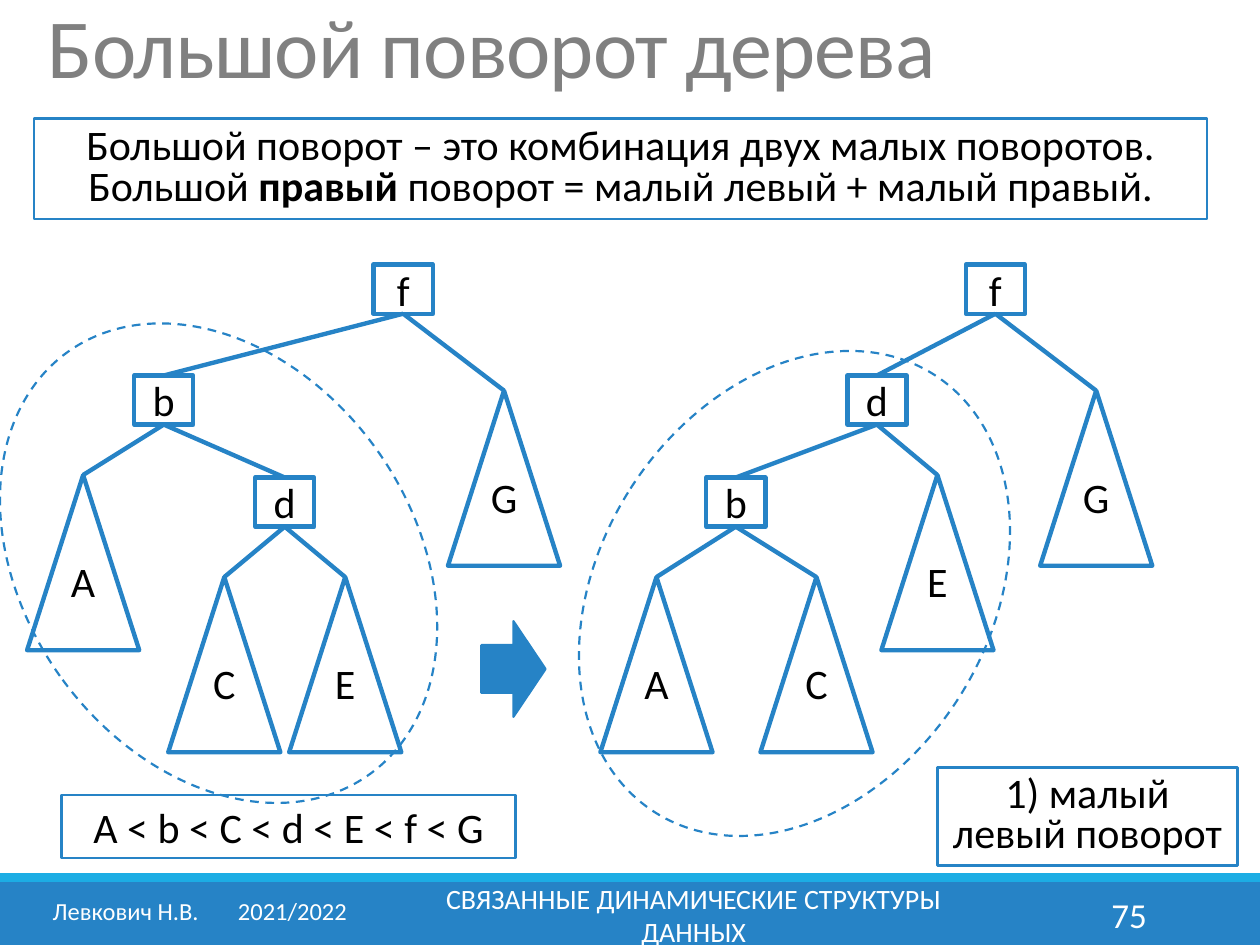
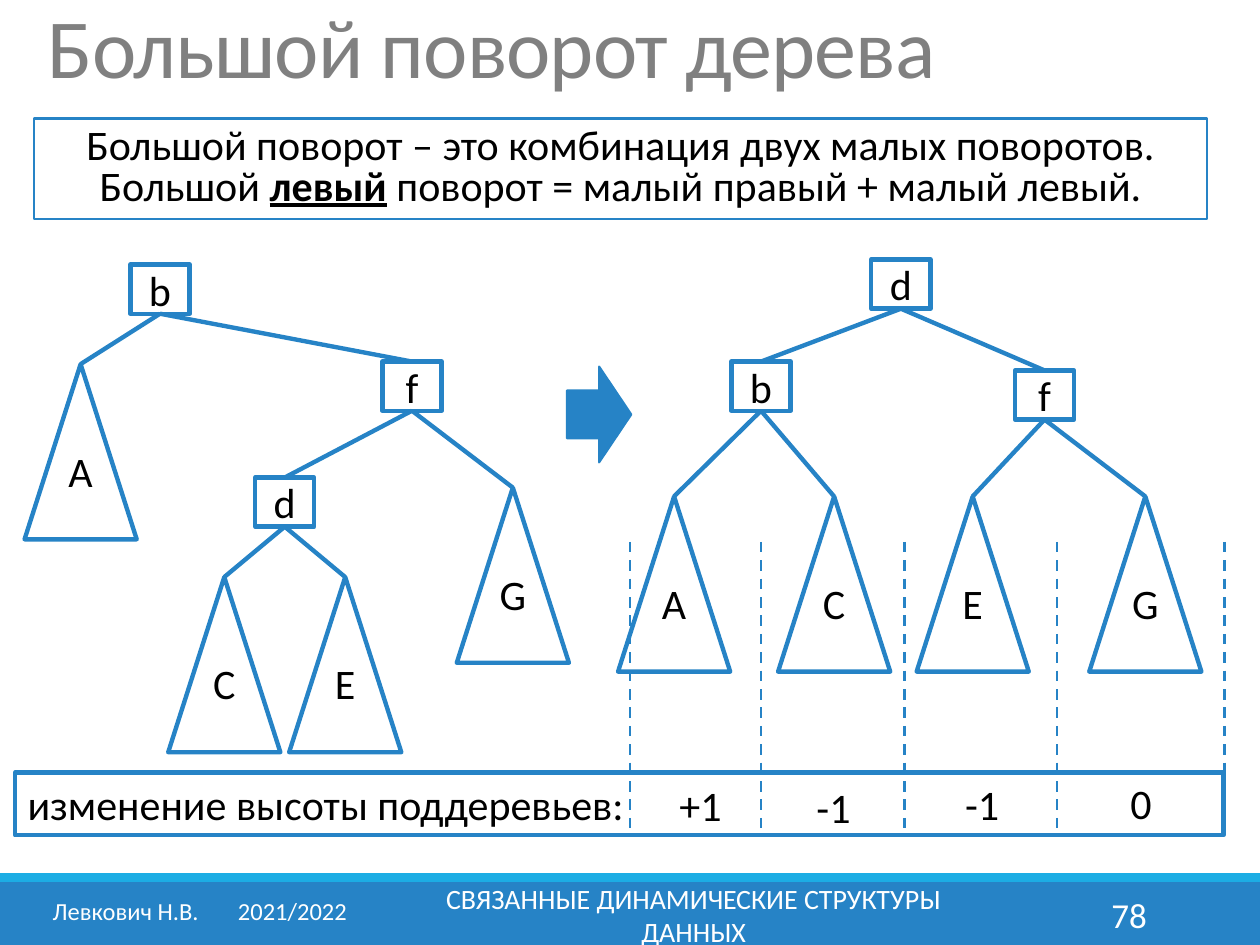
import pptx
import pptx.util
import pptx.dml.color
import pptx.enum.dml
import pptx.enum.shapes
import pptx.enum.text
import pptx.oxml.ns
from lxml import etree

Inches, Pt = pptx.util.Inches, pptx.util.Pt
rgb = pptx.dml.color.RGBColor.from_string
qn = pptx.oxml.ns.qn
SHAPE = pptx.enum.shapes.MSO_SHAPE
ANCHOR = pptx.enum.text.MSO_ANCHOR
ALIGN = pptx.enum.text.PP_ALIGN
DASH = pptx.enum.dml.MSO_LINE.DASH

BLUE, CYAN, GREY, WHITE, BLACK = "2683C6", "1CADE4", "808080", "FFFFFF", "000000"
FONT = "Calibri"
NODE_W, NODE_H = 0.47, 0.39
SUBTREE_W, SUBTREE_H = 0.89, 1.39


def add_box(slide, kind, at, text="", fill=None, line=None, width=1.5, size=24,
            color=BLACK, align=ALIGN.CENTER, anchor=ANCHOR.MIDDLE, spacing=None):
    """Add a shape, or a text box when kind is None; *stars* mark bold text."""
    place = [Inches(length) for length in at]
    if kind is None:
        box = slide.shapes.add_textbox(*place)
    else:
        box = slide.shapes.add_shape(kind, *place)
        box.shadow.inherit = False
        if fill:
            box.fill.solid()
            box.fill.fore_color.rgb = rgb(fill)
        else:
            box.fill.background()
        if line:
            box.line.color.rgb = rgb(line)
            box.line.width = Pt(width)
        else:
            box.line.fill.background()
    if text:
        frame = box.text_frame
        frame.word_wrap = True
        frame.vertical_anchor = anchor
        paragraph = frame.paragraphs[0]
        paragraph.alignment = align
        paragraph.line_spacing = spacing
        parts = text.split("*")
        paragraph.text = parts[0]
        for part in parts[1:]:
            paragraph.add_run().text = part
        for run in paragraph.runs:
            run.font.name, run.font.size = FONT, Pt(size)
            run.font.color.rgb = rgb(color)
            run.font.bold = len(parts) > 1 and run.text == parts[1]
    return box


def add_line(slide, start, end, width):
    line = slide.shapes.add_connector(
        pptx.enum.shapes.MSO_CONNECTOR.STRAIGHT,
        *[Inches(length) for length in (*start, *end)])
    line.line.color.rgb = rgb(BLUE)
    line.line.width = Pt(width)
    etree.SubElement(line._element.spPr, qn("a:effectLst"))
    return line


# Each tree: nodes as (centre x, top), then edges as parent-child pairs.
# Lower-case names are nodes, capitals are subtrees.
slides = [
    {
        "number": "75",
        "rule": "Большой *правый* поворот = малый левый + малый правый.",
        "underline": False,
        "arrow": (3.82, 4.93),
        "trees": [
            ({"f": (3.2, 2.1), "b": (1.3, 2.98), "G": (4, 3.1), "A": (0.66, 3.77),
              "d": (2.26, 3.79), "С": (1.78, 4.58), "E": (2.74, 4.58)},
             "fb fG bA bd dС dE"),
            ({"f": (7.9, 2.1), "d": (6.96, 2.98), "G": (8.7, 3.1), "b": (5.84, 3.79),
              "E": (7.44, 3.77), "A": (5.21, 4.58), "С": (6.48, 4.58)},
             "fd fG db dE bA bС"),
        ],
    },
    {
        "number": "78",
        "rule": "Большой *левый* поворот = малый правый + малый левый.",
        "underline": True,
        "arrow": (4.5, 2.91),
        "trees": [
            ({"b": (1.27, 2.1), "A": (0.64, 2.89), "f": (3.27, 2.87), "G": (4.07, 3.87),
              "d": (2.26, 3.79), "С": (1.78, 4.58), "E": (2.74, 4.58)},
             "bA bf fd fG dС dE"),
            ({"d": (7.15, 2.06), "b": (6.04, 2.87), "f": (8.29, 2.94), "A": (5.35, 3.94),
              "С": (6.62, 3.94), "E": (7.72, 3.94), "G": (9.09, 3.94)},
             "db df bA bС fE fG"),
        ],
    },
]

deck = pptx.Presentation()
deck.slide_width, deck.slide_height = Inches(10), Inches(7.5)
built = []

for content in slides:
    slide = deck.slides.add_slide(deck.slide_layouts[5])
    built.append(slide)

    # Title
    title = slide.shapes.title
    title.left, title.top = Inches(0.28), Inches(0.03)
    title.width, title.height = Inches(9.45), Inches(1.59)
    title.text_frame.text = "Большой поворот дерева"
    title.text_frame.vertical_anchor = ANCHOR.TOP
    title.text_frame.auto_size = pptx.enum.text.MSO_AUTO_SIZE.NONE
    heading = title.text_frame.paragraphs[0]
    heading.alignment, heading.line_spacing = ALIGN.LEFT, 0.85
    heading_run = heading.runs[0]
    heading_run.font.name, heading_run.font.size = FONT, Pt(48)
    heading_run.font.color.rgb = rgb(GREY)
    heading_run._r.get_or_add_rPr().set("spc", "-50")

    # Footer bands and texts
    add_box(slide, SHAPE.RECTANGLE, (0, 7, 10, 0.5), fill=BLUE)
    add_box(slide, SHAPE.RECTANGLE, (0, 6.93, 10, 0.07), fill=CYAN)
    author = add_box(slide, None, (0.32, 7.06, 2.61, 0.4), "Левкович Н.В. \t2021/2022",
                     size=14, color=WHITE, align=ALIGN.LEFT, anchor=ANCHOR.TOP)
    tabs = etree.SubElement(author.text_frame.paragraphs[0]._p.get_or_add_pPr(),
                            qn("a:tabLst"))
    etree.SubElement(tabs, qn("a:tab"), pos=str(Inches(1.47)), algn="l")
    add_box(slide, None, (3.02, 7.06, 4.97, 0.4),
            "СВЯЗАННЫЕ ДИНАМИЧЕСКИЕ СТРУКТУРЫ ДАННЫХ", size=16, color=WHITE)
    add_box(slide, None, (8.12, 7.06, 1.08, 0.4), content["number"],
            size=20, color=WHITE, align=ALIGN.RIGHT)

    # Definition
    definition = add_box(
        slide, SHAPE.RECTANGLE, (0.27, 0.94, 9.31, 0.8),
        "Большой поворот – это комбинация двух малых поворотов.\v" + content["rule"],
        WHITE, BLUE, spacing=0.8)
    for run in definition.text_frame.paragraphs[0].runs:
        if run.font.bold and content["underline"]:
            run.font.underline = True

    # Trees before and after the rotation
    for nodes, edges in content["trees"]:
        drawn = {}
        for name, (x, y) in nodes.items():
            if name.isupper():
                kind, w, h = SHAPE.ISOSCELES_TRIANGLE, SUBTREE_W, SUBTREE_H
            else:
                kind, w, h = SHAPE.RECTANGLE, NODE_W, NODE_H
            node = add_box(slide, kind, (x - w / 2, y, w, h), name, WHITE, BLUE, 2.5)
            node.text_frame.margin_left = node.text_frame.margin_right = 0
            if name.isupper():
                node.text_frame.margin_bottom = Inches(0.45)
            drawn[name] = node
        for parent, child in edges.split():
            edge = add_line(slide, nodes[parent], nodes[child], 2.5)
            edge.begin_connect(drawn[parent], 2)
            edge.end_connect(drawn[child], 0)

    add_box(slide, SHAPE.RIGHT_ARROW, (*content["arrow"], 0.51, 0.76),
            fill=BLUE, line=BLUE, width=1.25)

# First slide: key order, rotated parts and the step
step_slide, height_slide = built
add_box(step_slide, SHAPE.RECTANGLE, (0.49, 6.31, 3.6, 0.5),
        "A < b < C < d < E < f < G", WHITE, BLUE)
for left, top, angle in [(0.19, 2.41, 324.6), (4.76, 2.65, 32.6)]:
    rotated_part = add_box(step_slide, SHAPE.OVAL, (left, top, 3.09, 4.12),
                           line=BLUE, width=1.25)
    rotated_part.rotation = angle
    rotated_part.line.dash_style = DASH
add_box(step_slide, SHAPE.RECTANGLE, (7.44, 6.09, 2.38, 0.78),
        "1) малый левый поворот", WHITE, BLUE, spacing=0.8)

# Second slide: change of subtree heights, one column per subtree
add_box(height_slide, SHAPE.RECTANGLE, (0.12, 6.13, 9.59, 0.5),
        "изменение высоты поддеревьев:", WHITE, BLUE, 2.5, align=ALIGN.LEFT)
for x in (5, 6.04, 7.18, 8.39, 9.72):
    divider = add_line(height_slide, (x, 4.3), (x, 6.63), 1.5)
    divider.line.dash_style = DASH
for left, top, width, change in [(5.08, 6.14, 0.96, "+1"), (6.04, 6.15, 1.15, "-1"),
                                 (7.2, 6.13, 1.19, "-1"), (8.44, 6.12, 1.23, "0")]:
    add_box(height_slide, None, (left, top, width, 0.5), change)

deck.save("out.pptx")
